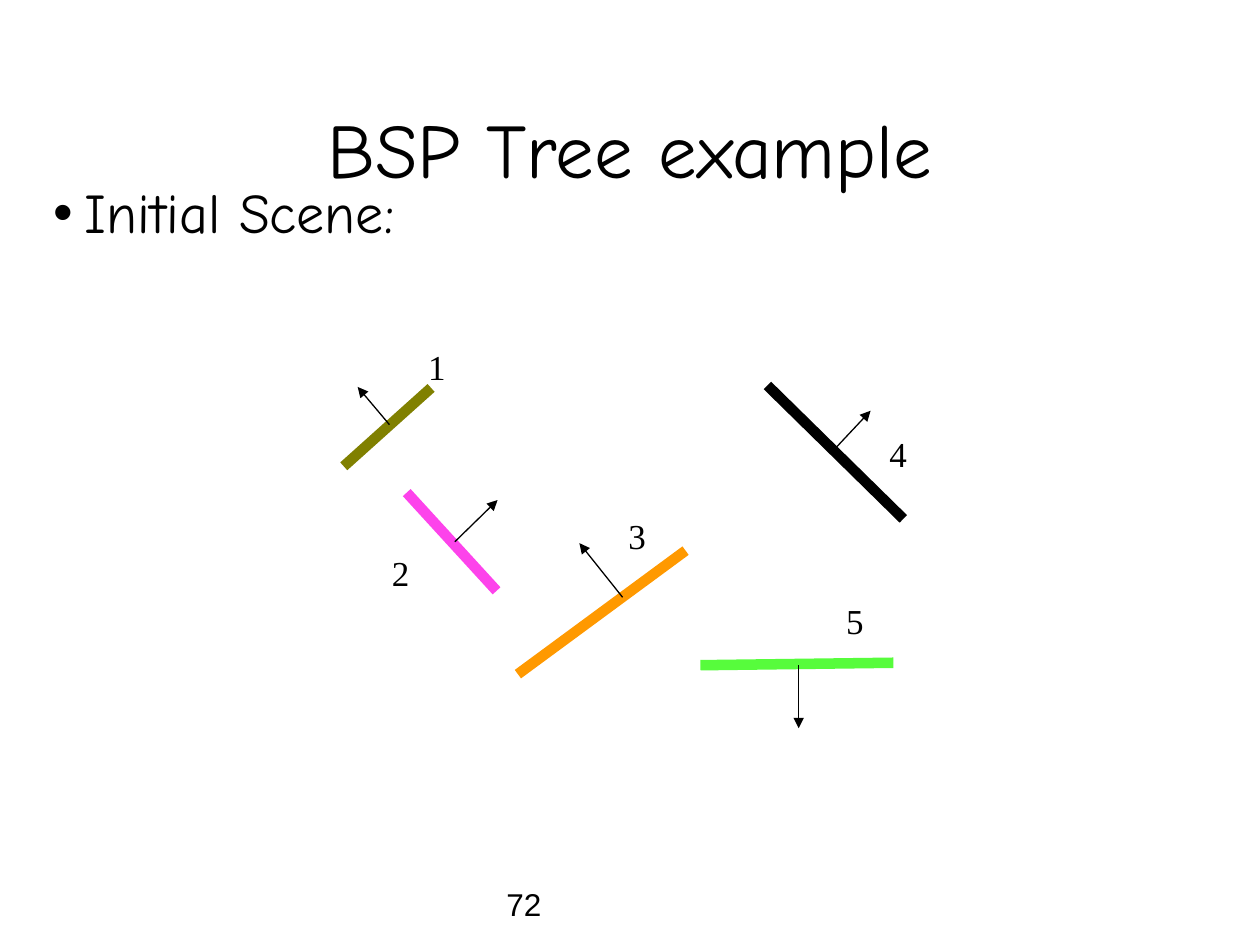
import dataclasses

import pptx
import pptx.dml.color
import pptx.enum.shapes
import pptx.enum.text
import pptx.oxml.ns
import pptx.util
from lxml import etree


@dataclasses.dataclass(frozen=True)
class Theme:
    ink: str = "000000"
    olive: str = "808000"
    pink: str = "FD43EB"
    orange: str = "FF9900"
    green: str = "57FC3C"
    heading_font: str = "Comic Neue"
    label_font: str = "Times New Roman"
    number_font: str = "Arial"
    title_size: float = 44
    body_size: float = 32
    label_size: float = 20
    number_size: float = 18
    wall_width: float = 6
    normal_width: float = 0.75
    line_spacing: float = 0.93


class SlideBuilder:
    """Draws styled text, walls and normals on the current slide."""

    def __init__(self, slide, theme):
        self.slide = slide
        self.theme = theme

    def add_element(self, parent, tag, **attributes):
        return etree.SubElement(parent, pptx.oxml.ns.qn(tag), attributes)

    def text(self, content, box, font, size, margins=(0.25, 0.13, 0.25, 0.13), wrap=True):
        shape = self.slide.shapes.add_textbox(*map(pptx.util.Cm, box))
        frame = shape.text_frame
        frame.text = content
        frame.word_wrap = wrap
        frame.margin_left, frame.margin_top, frame.margin_right, frame.margin_bottom = map(
            pptx.util.Cm, margins
        )
        paragraph = frame.paragraphs[0]
        paragraph.line_spacing = self.theme.line_spacing
        run_font = paragraph.runs[0].font
        run_font.name = font
        run_font.size = pptx.util.Pt(size)
        run_font.color.rgb = pptx.dml.color.RGBColor.from_string(self.theme.ink)
        return frame

    def title(self, content, box):
        frame = self.text(
            content, box, self.theme.heading_font, self.theme.title_size, (0, 0, 0, 0)
        )
        frame.vertical_anchor = pptx.enum.text.MSO_ANCHOR.BOTTOM
        frame.paragraphs[0].alignment = pptx.enum.text.PP_ALIGN.CENTER

    def bullet(self, content, box):
        frame = self.text(
            content, box, self.theme.heading_font, self.theme.body_size, (0, 0.08, 0, 0)
        )
        paragraph = frame.paragraphs[0]
        paragraph.space_after = pptx.util.Pt(14.3)
        indent = pptx.util.Cm(0.64)
        properties = paragraph._p.get_or_add_pPr()
        properties.set("marL", str(indent))
        properties.set("indent", str(-indent))
        bullet_color = self.add_element(properties, "a:buClr")
        self.add_element(bullet_color, "a:srgbClr", val=self.theme.ink)
        self.add_element(properties, "a:buFont", typeface=self.theme.number_font)
        self.add_element(properties, "a:buChar", char="•")

    def page_number(self, content, box):
        self.text(content, box, self.theme.number_font, self.theme.number_size)

    def label(self, content, position):
        frame = self.text(
            content,
            (*position, 0.86, 1.04),
            self.theme.label_font,
            self.theme.label_size,
            wrap=False,
        )
        frame.auto_size = pptx.enum.text.MSO_AUTO_SIZE.SHAPE_TO_FIT_TEXT

    def line(self, start, end, color, width):
        connector = self.slide.shapes.add_connector(
            pptx.enum.shapes.MSO_CONNECTOR.STRAIGHT, *map(pptx.util.Cm, (*start, *end))
        )
        connector.line.color.rgb = pptx.dml.color.RGBColor.from_string(color)
        connector.line.width = pptx.util.Pt(width)
        self.add_element(connector._element.spPr, "a:effectLst")
        return connector

    def wall(self, start, end, color):
        self.line(start, end, color, self.theme.wall_width)

    def normal(self, start, end):
        connector = self.line(start, end, self.theme.ink, self.theme.normal_width)
        self.add_element(connector.line._get_or_add_ln(), "a:tailEnd", type="triangle")


def main():
    theme = Theme()
    presentation = pptx.Presentation()
    presentation.slide_width = pptx.util.Cm(25.4)
    presentation.slide_height = pptx.util.Cm(19.05)
    slide = presentation.slides.add_slide(presentation.slide_layouts[6])
    builder = SlideBuilder(slide, theme)

    builder.page_number("72", (9.96, 17.78, 5.92, 0.84))
    builder.title("BSP Tree example", (1.27, 0.76, 22.86, 3.18))
    builder.bullet("Initial Scene:", (1.07, 3.61, 23.06, 1.6))

    scene = [
        (theme.olive, (8.69, 7.82), (6.93, 9.4), (7.85, 8.56), (7.21, 7.8), (8.38, 6.91)),
        (theme.pink, (8.2, 9.93), (10.01, 11.91), (9.17, 10.92), (10.03, 10.08), (7.65, 11.07)),
        (theme.orange, (10.44, 13.59), (13.82, 11.1), (12.55, 12.04), (11.68, 10.95), (12.42, 10.31)),
        (theme.ink, (15.47, 7.77), (18.21, 10.46), (16.79, 9.09), (17.55, 8.28), (17.68, 8.66)),
        (theme.green, (14.12, 13.41), (18.01, 13.36), (16.1, 13.41), (16.1, 14.68), (16.81, 12.04)),
    ]
    for number, (color, start, end, foot, tip, label_position) in enumerate(scene, 1):
        builder.wall(start, end, color)
        builder.normal(foot, tip)
        builder.label(str(number), label_position)

    presentation.save("out.pptx")


if __name__ == "__main__":
    main()
